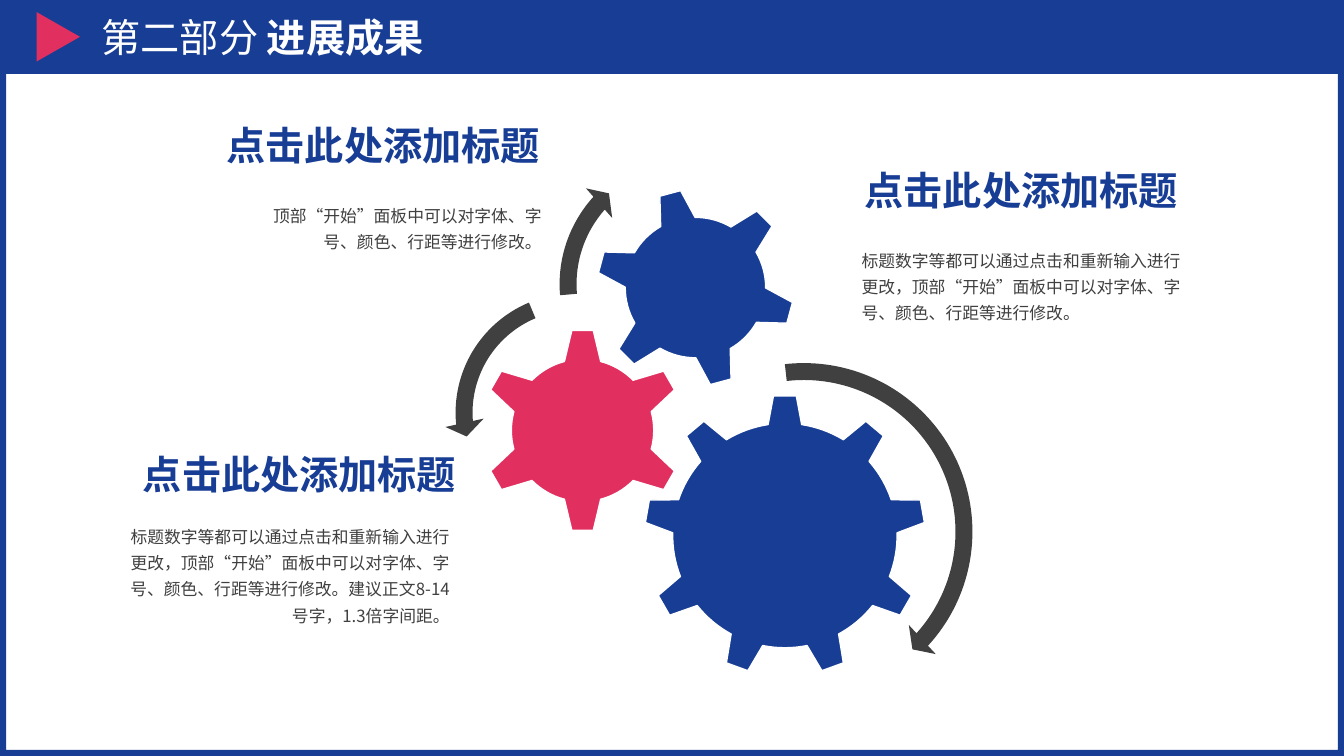
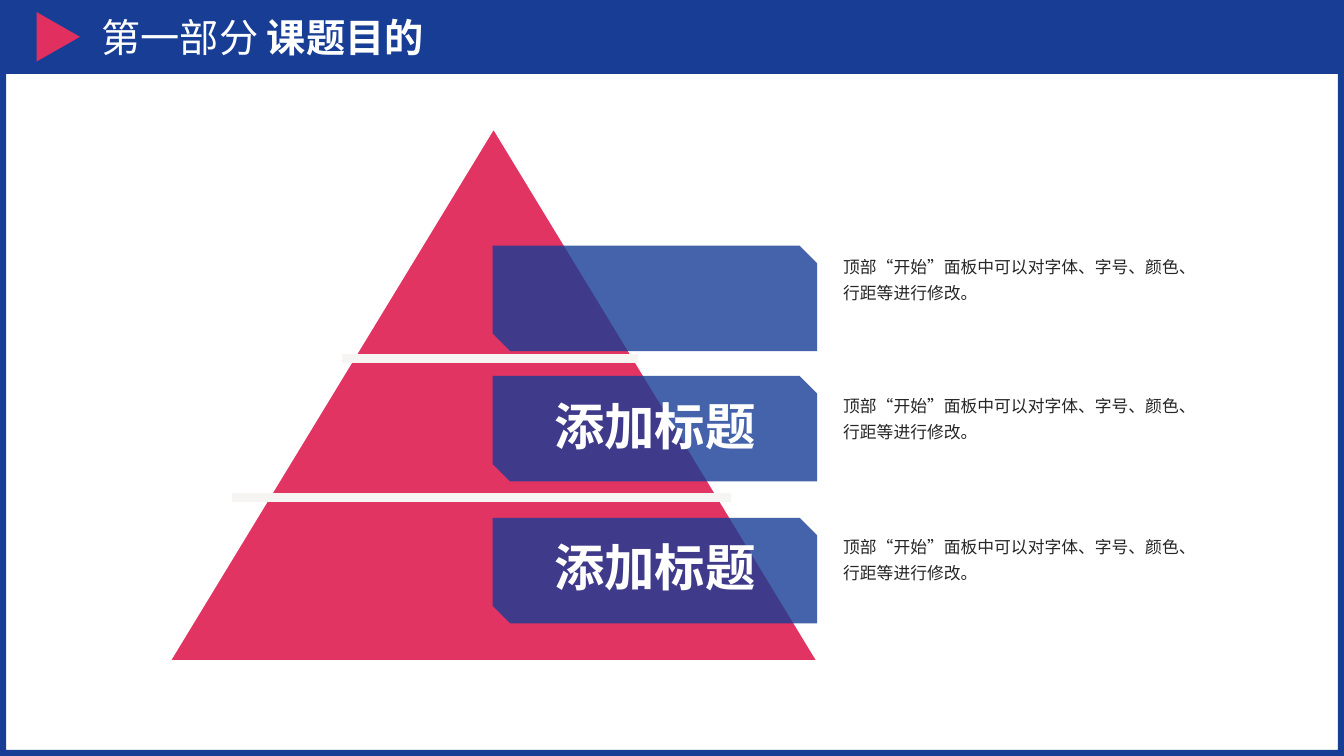
from math import asin, cos, pi, radians, sin, tan

from lxml.etree import SubElement
from pptx import Presentation
from pptx.dml.color import RGBColor
from pptx.enum.shapes import MSO_CONNECTOR, MSO_SHAPE as SHAPE
from pptx.enum.text import MSO_ANCHOR as ANCHOR, MSO_AUTO_SIZE as AUTO, PP_ALIGN as ALIGN
from pptx.oxml.ns import qn
from pptx.util import Pt

PX = 3048
WIDTH, HEIGHT, BAND = 4000, 2250, 220
FONT = "Noto Sans CJK SC"
COLORS = {
    "blue": "173D95",
    "red": "E1305F",
    "white": "FFFFFF",
    "gray": "404040",
    "ink": "262626",
    "rule": "F6F5F3",
}
HEADING = "点击此处添加标题"
SHORT_NOTE = "顶部“开始”面板中可以对字体、字号、颜色、行距等进行修改。"
LONG_NOTE = "标题数字等都可以通过点击和重新输入进行更改，" + SHORT_NOTE


def emu(*lengths):
    return [round(n * PX) for n in lengths]


def rgb(name):
    return RGBColor.from_string(COLORS[name])


class Deck:
    def __init__(self):
        self.prs = Presentation()
        self.prs.slide_width, self.prs.slide_height = emu(WIDTH, HEIGHT)
        self.layout = self.prs.slide_layouts[6]
        self.s = None

    def slide(self, part, title):
        first = self.s is None
        self.s = self.prs.slides.add_slide(self.layout)
        if first:
            self.decorate_layout()
        sp = self.s.shapes.add_textbox(*emu(273, 0, 3594, BAND))
        tf = sp.text_frame
        tf.word_wrap = True
        tf.vertical_anchor = ANCHOR.MIDDLE
        p = tf.paragraphs[0]
        p.add_run().text = part + " "
        r = p.add_run()
        r.text = title
        r.font.bold = True
        self.font(p, 28, "white")

    def decorate_layout(self):
        tree = self.layout.element.cSld.spTree
        for ph in list(self.layout.placeholders):
            tree.remove(ph.element)
        frame = self.shape(SHAPE.FRAME, (0, 0, WIDTH, HEIGHT), "blue", adj=[0.008])
        band = self.shape(SHAPE.RECTANGLE, (0, 0, WIDTH, BAND), "blue")
        marker = self.shape(SHAPE.ISOSCELES_TRIANGLE, (100, 45, 147, 129), "red")
        marker.rotation = 90
        for sp in (frame, band, marker):
            tree.append(sp.element)

    def font(self, p, size, color, bold=None):
        f = p.font
        f.size, f.name, f.bold = Pt(size), FONT, bold
        f.color.rgb = rgb(color)
        SubElement(p._p.pPr.find(qn("a:defRPr")), qn("a:ea"), typeface=FONT)

    def paint(self, sp, fill, outline=None, alpha=None):
        sp.shadow.inherit = False
        sp.fill.solid()
        sp.fill.fore_color.rgb = rgb(fill)
        if alpha:
            clr = sp.element.spPr.find(qn("a:solidFill"))[0]
            SubElement(clr, qn("a:alpha"), val=str(alpha * 1000))
        if outline:
            sp.line.color.rgb = rgb(outline)
            sp.line.width = Pt(1)
        else:
            sp.line.fill.background()

    def shape(self, kind, box, fill, outline=None, alpha=None, adj=()):
        sp = self.s.shapes.add_shape(kind, *emu(*box))
        for i, value in enumerate(adj):
            sp.adjustments[i] = value
        self.paint(sp, fill, outline, alpha)
        return sp

    def gear(self, center, teeth, turn, root, tip, fill):
        (root_r, root_half), (tip_r, tip_half) = root, tip
        root_a, tip_a = asin(root_half / root_r), asin(tip_half / tip_r)
        pitch = 2 * pi / teeth
        bend = 4 / 3 * tan((pitch - 2 * root_a) / 4) * root_r

        def at(r, a, along=0):
            return emu(center[0] + r * sin(a) + along * cos(a),
                       center[1] - r * cos(a) + along * sin(a))

        pts, handles = [at(root_r, radians(turn) - root_a)], []
        for i in range(teeth):
            a = radians(turn) + i * pitch
            leave, enter = a + root_a, a + pitch - root_a
            pts += [at(tip_r, a - tip_a), at(tip_r, a + tip_a),
                    at(root_r, leave), at(root_r, enter)]
            handles.append((at(root_r, leave, bend), at(root_r, enter, -bend)))
        fb = self.s.shapes.build_freeform(*pts[0])
        fb.add_line_segments(pts[1:])
        sp = fb.convert_to_shape()
        valleys = list(sp.element.iter(qn("a:lnTo")))[3::4]
        for seg, pair in zip(valleys, handles):
            seg.tag = qn("a:cubicBezTo")
            for i, (x, y) in enumerate(pair):
                pt = SubElement(seg, qn("a:pt"), x=str(x - sp.left), y=str(y - sp.top))
                seg.insert(i, pt)
        self.paint(sp, fill, "white")

    def text(self, box, text, size, color, align, bold=None, spacing=None, wrap=True):
        sp = self.s.shapes.add_textbox(*emu(*box))
        tf = sp.text_frame
        tf.word_wrap = wrap
        tf.auto_size = AUTO.SHAPE_TO_FIT_TEXT
        p = tf.paragraphs[0]
        p.text, p.alignment = text, align
        if spacing:
            p.line_spacing = spacing
        self.font(p, size, color, bold)

    def heading(self, x, y, align):
        self.text((x, y, 1002, 171), HEADING, 28, "blue", align, bold=True, wrap=False)

    def note(self, box, text, color, align=ALIGN.LEFT):
        self.text(box, text, 12, color, align, spacing=1.3)

    def label(self, y, text):
        sp = self.shape(SHAPE.SNIP_2_DIAG_RECTANGLE, (1466, y, 966, 314), "blue", alpha=80)
        if not text:
            return
        tf = sp.text_frame
        tf.margin_left = tf.margin_top = tf.margin_right = tf.margin_bottom = emu(66)[0]
        tf.vertical_anchor = ANCHOR.MIDDLE
        p = tf.paragraphs[0]
        p.text, p.alignment, p.line_spacing = text, ALIGN.CENTER, 0.9
        self.font(p, 36, "white", bold=True)

    def rule(self, x1, x2, y):
        cn = self.s.shapes.add_connector(MSO_CONNECTOR.STRAIGHT, *emu(x1, y, x2, y))
        cn.line.color.rgb = rgb("rule")
        cn.line.width = Pt(6)
        SubElement(cn._element.spPr, qn("a:effectLst"))


def gears_slide(deck):
    deck.slide("第二部分", "进展成果")
    for kind, box, adj in (
        (SHAPE.CIRCULAR_ARROW, (1857, 1047, 1071, 1071), (0.047, 2.99, 25.39, 158.12, 0.055)),
        (SHAPE.LEFT_CIRCULAR_ARROW, (1323, 840, 777, 777), (0.065, 4.3, 104.89, 148.38, 0.075)),
        (SHAPE.CIRCULAR_ARROW, (1632, 426, 840, 840), (0.06, 3.94, 133.14, 105.08, 0.07)),
    ):
        deck.shape(kind, box, "gray", adj=adj)
    deck.gear((2336, 1594), 9, 0, (334, 50), (417, 34), "blue")
    deck.gear((1734, 1281), 6, 0, (212, 54), (299, 32), "red")
    deck.gear((2070, 856), 6, -15, (209, 53), (292, 32), "blue")
    deck.note((354, 1535, 1014, 345), LONG_NOTE + "建议正文8-14号字，1.3倍字间距。", "gray", ALIGN.RIGHT)
    deck.note((2535, 712, 1011, 267), LONG_NOTE, "gray")
    deck.note((739, 579, 903, 189), SHORT_NOTE, "gray", ALIGN.RIGHT)
    deck.heading(634, 347, ALIGN.RIGHT)
    deck.heading(2544, 480, ALIGN.LEFT)
    deck.heading(385, 1326, ALIGN.RIGHT)


def pyramid_slide(deck):
    deck.slide("第一部分", "课题目的")
    deck.shape(SHAPE.ISOSCELES_TRIANGLE, (506, 383, 1926, 1584), "red", "white", alpha=98)
    for y, text in ((731, ""), (1119, "添加标题"), (1541, "添加标题")):
        deck.label(y, text)
    deck.rule(1017, 1899, 1067)
    deck.rule(690, 2177, 1481)
    for y in (732, 1144, 1565):
        deck.note((2480, y, 1095, 189), SHORT_NOTE, "ink")


def main():
    deck = Deck()
    gears_slide(deck)
    pyramid_slide(deck)
    deck.prs.save("out.pptx")


if __name__ == "__main__":
    main()
